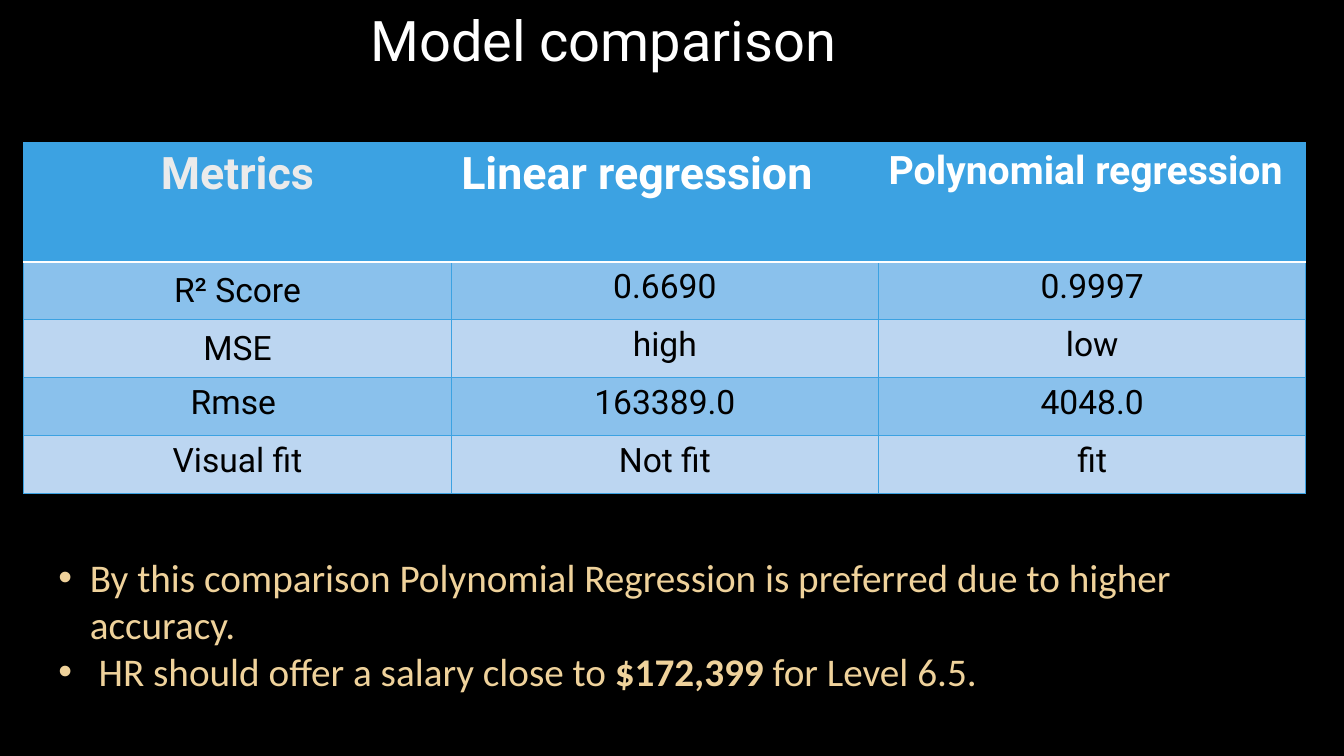
from lxml.etree import SubElement
from pptx import Presentation
from pptx.dml.color import RGBColor
from pptx.enum.text import MSO_ANCHOR as Anchor, MSO_AUTO_SIZE as AutoSize, PP_ALIGN as Align
from pptx.oxml.ns import qn
from pptx.util import Cm, Pt

BLACK, WHITE, BLUE, SAND = "000000", "FFFFFF", "3CA2E2", "EFD29B"
BAND_FILLS = ["8AC1EC", "BCD6F1"]
HEADINGS = [
    # text, size, colour, alignment
    ("Metrics", 32, "EBEBEB", Align.CENTER),
    ("Linear regression", 32, WHITE, Align.LEFT),
    ("Polynomial regression", 28, WHITE, Align.LEFT),
]
METRICS = [
    ("R² Score", "0.6690", "0.9997"),
    ("MSE", "high", "low"),
    ("Rmse ", "163389.0", "4048.0"),
    ("Visual fit", "Not fit", "fit"),
]
CONCLUSIONS = [
    [("By this comparison Polynomial Regression is preferred due to higher accuracy.", False)],
    [(" HR should offer a salary close to ", False), ("$172,399", True), (" for Level 6.5.", False)],
]


def colour(hex_string):
    return RGBColor.from_string(hex_string)


def write(paragraph, text, size=24, font="Roboto", color=BLACK, bold=False, align=None):
    """Add a formatted run to a paragraph."""
    run = paragraph.add_run()
    run.text = text
    run.font.size = Pt(size)
    run.font.name = font
    run.font.bold = bold
    run.font.color.rgb = colour(color)
    if align is not None:
        paragraph.alignment = align


def place(placeholder, box):
    """Move a placeholder to its box and return its top-anchored text frame."""
    placeholder.left, placeholder.top, placeholder.width, placeholder.height = map(Cm, box)
    frame = placeholder.text_frame
    frame.word_wrap = True
    frame.auto_size = AutoSize.NONE
    frame.vertical_anchor = Anchor.TOP
    return frame


def set_border(cell, side, color, width):
    properties = cell._tc.get_or_add_tcPr()
    line = SubElement(properties, qn(f"a:ln{side}"), w=str(Pt(width)))
    SubElement(SubElement(line, qn("a:solidFill")), qn("a:srgbClr"), val=color)


def fill_cell(cell, fill, white_side=None):
    """Draw the four borders, one of them optionally heavy white, then the fill."""
    for side in "LRTB":
        if side == white_side:
            set_border(cell, side, WHITE, 1.5)
        else:
            set_border(cell, side, BLUE, 0.75)
    cell.fill.solid()
    cell.fill.fore_color.rgb = colour(fill)


def add_title(slide, box):
    heading = place(slide.shapes.title, box).paragraphs[0]
    write(heading, "Model comparison", size=40, color=WHITE, align=Align.CENTER)


def add_comparison(slide, box, header_height):
    left, top, width, height = box
    row_count, column_count = len(METRICS) + 1, len(HEADINGS)
    comparison = slide.shapes.add_table(row_count, column_count, *map(Cm, box)).table
    for column in comparison.columns:
        column.width = Cm(width / column_count)
    for row in comparison.rows:
        row.height = Cm((height - header_height) / len(METRICS))
    comparison.rows[0].height = Cm(header_height)

    # Header row
    for index, (heading, size, color, align) in enumerate(HEADINGS):
        cell = comparison.cell(0, index)
        fill_cell(cell, BLUE, white_side="B")
        write(cell.text_frame.paragraphs[0], heading, size=size, color=color, bold=True, align=align)

    # Metric rows in alternating bands
    for row_index, metric in enumerate(METRICS, start=1):
        for column_index, value in enumerate(metric):
            cell = comparison.cell(row_index, column_index)
            fill_cell(cell, BAND_FILLS[(row_index - 1) % 2], white_side="T" if row_index == 1 else None)
            write(cell.text_frame.paragraphs[0], value, align=Align.CENTER)
    for row_index in (1, 2):
        comparison.cell(row_index, 0).vertical_anchor = Anchor.MIDDLE


def add_conclusions(slide, box, indent=0.79):
    frame = place(slide.placeholders[1], box)
    for index, conclusion in enumerate(CONCLUSIONS):
        bullet = frame.paragraphs[0] if index == 0 else frame.add_paragraph()
        bullet.space_before = Pt(0)
        properties = bullet._p.get_or_add_pPr()
        properties.set("marL", str(Cm(indent)))
        properties.set("indent", str(-Cm(indent)))
        SubElement(properties, qn("a:buChar"), char="•")
        for text, bold in conclusion:
            write(bullet, text, size=28, font="Calibri", color=SAND, bold=bold)


def main():
    presentation = Presentation()
    presentation.slide_width, presentation.slide_height = Cm(33.87), Cm(19.05)
    slide = presentation.slides.add_slide(presentation.slide_layouts[1])
    slide.background.fill.solid()
    slide.background.fill.fore_color.rgb = colour(BLACK)

    add_title(slide, (0.6, 0, 29.2, 3.4))
    add_comparison(slide, (0.6, 3.6, 32.31, 8.84), header_height=3)
    add_conclusions(slide, (1.22, 13.82, 29.4, 5.2))

    # Leave no empty placeholders
    for placeholder in list(slide.placeholders):
        if not placeholder.text_frame.text:
            placeholder._element.getparent().remove(placeholder._element)
    presentation.save("out.pptx")


if __name__ == "__main__":
    main()
